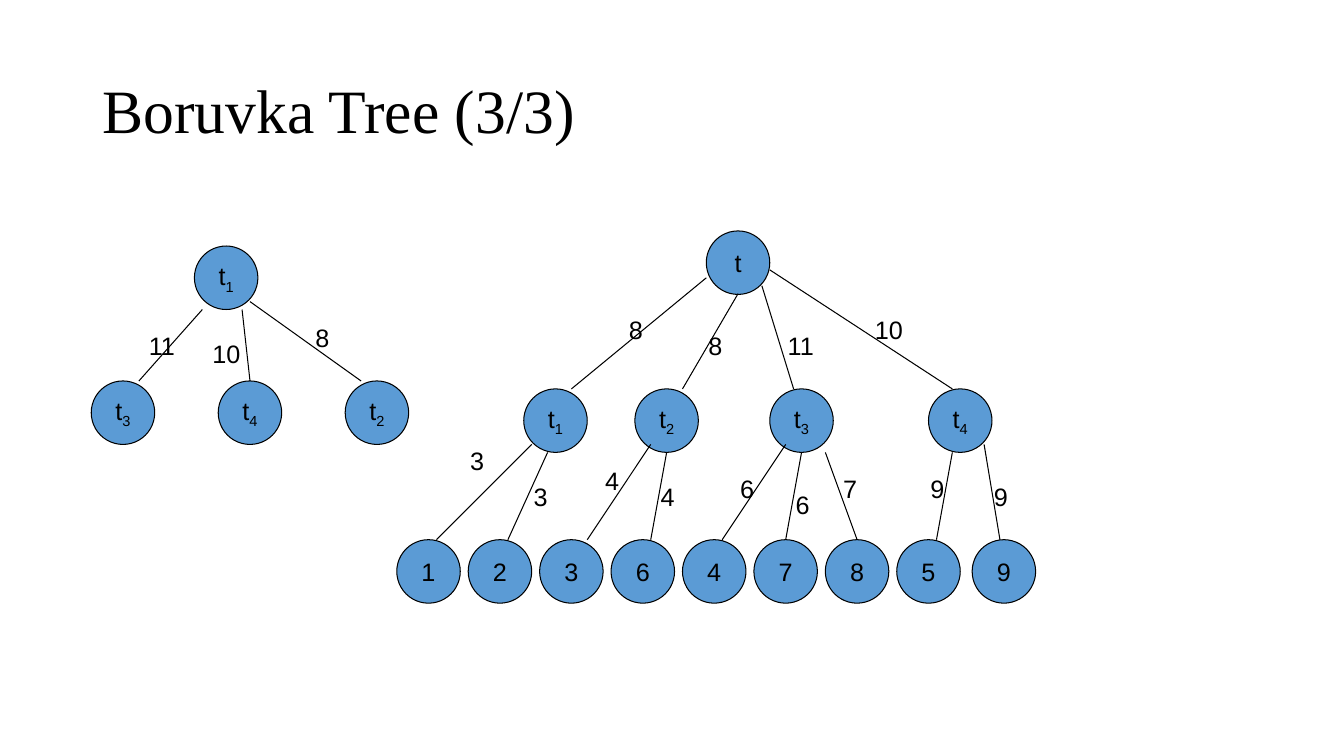
from lxml.etree import SubElement
from pptx import Presentation
from pptx.dml.color import RGBColor
from pptx.enum.shapes import MSO_CONNECTOR, MSO_SHAPE
from pptx.enum.text import MSO_ANCHOR, MSO_AUTO_SIZE, PP_ALIGN
from pptx.oxml.ns import qn
from pptx.util import Cm, Pt

TITLE = "Boruvka Tree (3/3)"
BLACK, BLUE = "000000", "5B9BD5"
SIZE = 1.6

# name, left, top
ROOTS = [("t", 17.8, 5.82), ("t1", 4.9, 6.2)]

# rows of kids: top, then name, left, line start x, line end, weight, label place
ROWS = [
    (9.8, [
        ("t1", 13.2, 14.4, (17.8, 7.0), "8", (15.6, 7.8)),
        ("t2", 16.0, 17.2, (18.6, 7.4), "8", (17.6, 8.2)),
        ("t3", 19.4, 20.0, (19.2, 7.2), "11", (19.6, 8.2)),
        ("t4", 23.4, 24.0, (19.4, 6.8), "10", (21.8, 7.8)),
    ]),
    (13.6, [
        ("1", 10.0, 11.0, (13.4, 11.2), "3", (11.6, 11.1)),
        ("2", 11.8, 12.8, (13.8, 11.4), "3", (13.2, 12.0)),
        ("3", 13.6, 14.8, (16.4, 11.2), "4", (15.0, 11.6)),
        ("6", 15.4, 16.4, (16.8, 11.4), "4", (16.4, 12.0)),
        ("4", 17.2, 18.2, (19.8, 11.2), "6", (18.4, 11.8)),
        ("7", 19.0, 19.8, (20.2, 11.4), "6", (19.8, 12.2)),
        ("8", 20.8, 21.6, (20.8, 11.4), "7", (21.0, 11.8)),
        ("5", 22.6, 23.6, (24.0, 11.4), "9", (23.2, 11.8)),
        ("9", 24.5, 25.2, (24.8, 11.2), "9", (24.8, 12.0)),
    ]),
    (9.6, [
        ("t3", 2.3, 3.5, (5.1, 7.8), "11", (3.5, 8.2)),
        ("t4", 5.5, 6.3, (6.1, 7.8), "10", (5.1, 8.4)),
        ("t2", 8.7, 9.1, (6.3, 7.6), "8", (7.7, 8.0)),
    ]),
]


def color(code):
    return RGBColor.from_string(code)


def add_run(para, text, face="Arial", size=18):
    run = para.add_run()
    run.text = text
    run.font.name = face
    run.font.size = Pt(size)
    run.font.color.rgb = color(BLACK)
    return run


def ink(line):
    line.color.rgb = color(BLACK)
    line.width = Pt(0.75)


def add_node(name, left, top):
    node = slide.shapes.add_shape(
        MSO_SHAPE.OVAL, Cm(left), Cm(top), Cm(SIZE), Cm(SIZE))
    node.shadow.inherit = False
    node.fill.solid()
    node.fill.fore_color.rgb = color(BLUE)
    ink(node.line)
    frame = node.text_frame
    frame.word_wrap = False
    frame.vertical_anchor = MSO_ANCHOR.MIDDLE
    para = frame.paragraphs[0]
    para.alignment = PP_ALIGN.CENTER
    add_run(para, name[0])
    if name[1:]:
        sub = add_run(para, name[1:])
        sub.font._element.set("baseline", "-25000")


def add_edge(start, end):
    edge = slide.shapes.add_connector(
        MSO_CONNECTOR.STRAIGHT, *map(Cm, start + end))
    ink(edge.line)
    SubElement(edge._element.spPr, qn("a:effectLst"))


def add_label(text, place):
    wide = 0.51 + 0.35 * len(text)
    box = slide.shapes.add_textbox(*map(Cm, place), Cm(wide), Cm(1.02))
    frame = box.text_frame
    frame.word_wrap = False
    frame.auto_size = MSO_AUTO_SIZE.SHAPE_TO_FIT_TEXT
    add_run(frame.paragraphs[0], text)


deck = Presentation()
deck.slide_width, deck.slide_height = Cm(33.87), Cm(19.05)
slide = deck.slides.add_slide(deck.slide_layouts[5])

title = slide.shapes.title
title.left, title.top = Cm(2.33), Cm(1.01)
title.width, title.height = Cm(29.21), Cm(3.68)
title.text_frame.vertical_anchor = MSO_ANCHOR.MIDDLE
head = title.text_frame.paragraphs[0]
head.alignment = PP_ALIGN.LEFT
head.line_spacing = 0.9
add_run(head, TITLE, "Times New Roman", 44)

for root in ROOTS:
    add_node(*root)
for top, kids in ROWS:
    for name, left, start, end, weight, place in kids:
        add_node(name, left, top)
        add_edge((start, top), end)
        add_label(weight, place)

deck.save("out.pptx")
